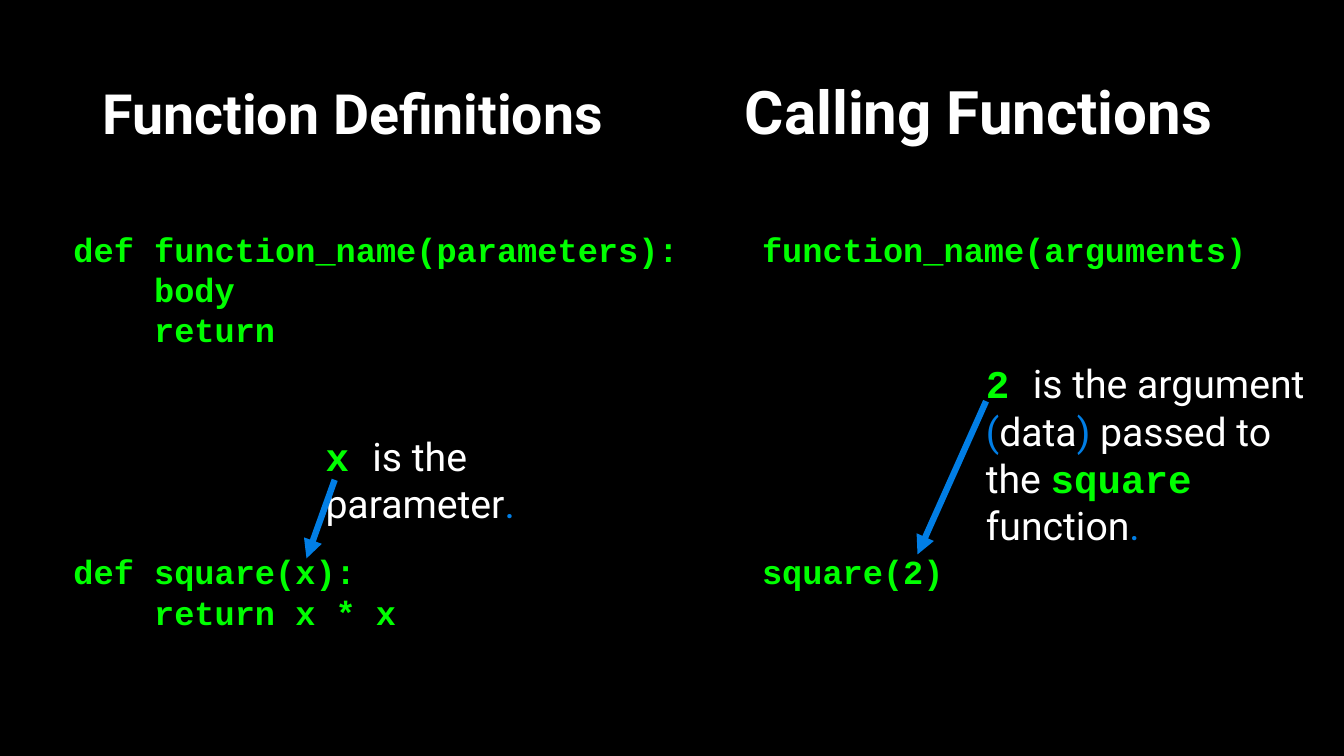
from lxml import etree
from pptx import Presentation
from pptx import util as u
from pptx.dml.color import RGBColor
from pptx.enum import shapes, text
from pptx.oxml.ns import qn

WHITE, GREEN, BLUE = "FFFFFF", "00FF00", "017EE5"
CODE, PROSE = "Courier New", "Roboto"
LINE = 28.8  # height of one line of code, in points


def color(value):
    return RGBColor.from_string(value)


def add_text(box, paragraphs, size, anchor=text.MSO_ANCHOR.TOP):
    """Add a text box of paragraphs, each a list of (words, colour, font, bold)."""
    frame = slide.shapes.add_textbox(*map(u.Inches, box)).text_frame
    frame.word_wrap = True
    frame.vertical_anchor = anchor
    for index, pieces in enumerate(paragraphs):
        paragraph = frame.paragraphs[0] if index == 0 else frame.add_paragraph()
        for words, hue, face, bold in pieces:
            run = paragraph.add_run()
            run.text = words
            run.font.color.rgb = color(hue)
            for key, value in {"name": face, "size": u.Pt(size), "bold": bold}.items():
                setattr(run.font, key, value)
    return frame


deck = Presentation()
deck.slide_width, deck.slide_height = u.Inches(13.33), u.Inches(7.5)
slide = deck.slides.add_slide(deck.slide_layouts[6])
slide.background.fill.solid()
slide.background.fill.fore_color.rgb = color("000000")

headings = [
    ("Function Definitions", (0.92, 0.8, 5.8, 0.72), 39.6, 0.9),
    ("Calling Functions", (7.29, 0.8, 5.14, 0.72), 42.9, 0.8),
]
for words, box, size, spacing in headings:
    heading = add_text(box, [[(words, WHITE, PROSE, True)]], size, text.MSO_ANCHOR.MIDDLE)
    heading.paragraphs[0].line_spacing = spacing

# Each code line: words, indented or not, number of lines left free above
listings = [
    ((0.63, 2.22, 6.25, 4.14), [
        ("def function_name(parameters):", False, 0),
        ("body", True, 0),
        ("return", True, 0),
        ("def square(x):", False, 5),
        ("return x * x", True, 0),
    ]),
    ((7.46, 2.22, 5.04, 3.74), [
        ("function_name(arguments)", False, 0),
        ("square(2)", False, 7),
    ]),
]
for box, lines in listings:
    listing = add_text(box, [[(words, GREEN, CODE, True)] for words, _, _ in lines], 24)
    for paragraph, (_, indented, free_lines) in zip(listing.paragraphs, lines):
        paragraph.line_spacing = u.Pt(LINE)
        paragraph.space_before = u.Pt(free_lines * LINE)
        if indented:
            paragraph._p.get_or_add_pPr().set("marL", str(u.Inches(0.8)))

parameter_note = [
    ("x ", GREEN, CODE, True),
    ("is the parameter", WHITE, PROSE, False),
    (".", BLUE, PROSE, False),
]
argument_note = [
    ("2 ", GREEN, CODE, True),
    ("is the argument ", WHITE, PROSE, False),
    ("(", BLUE, PROSE, False),
    ("data", WHITE, PROSE, False),
    (")", BLUE, PROSE, False),
    (" passed to the ", WHITE, PROSE, False),
    ("square ", GREEN, CODE, True),
    ("function", WHITE, PROSE, False),
    (".", BLUE, PROSE, False),
]
add_text((3.13, 4.24, 3.38, 0.57), [parameter_note], 28)
add_text((9.68, 3.52, 3.36, 1.99), [argument_note], 28)

for ends in [(3.32, 4.76, 3.04, 5.54), (9.78, 3.98, 9.1, 5.5)]:
    arrow = slide.shapes.add_connector(shapes.MSO_CONNECTOR.STRAIGHT, *map(u.Inches, ends))
    arrow.line.color.rgb = color(BLUE)
    arrow.line.width = u.Pt(4.5)
    etree.SubElement(arrow.line._get_or_add_ln(), qn("a:tailEnd"), type="triangle")
    etree.SubElement(arrow._element.spPr, qn("a:effectLst"))

deck.save("out.pptx")
